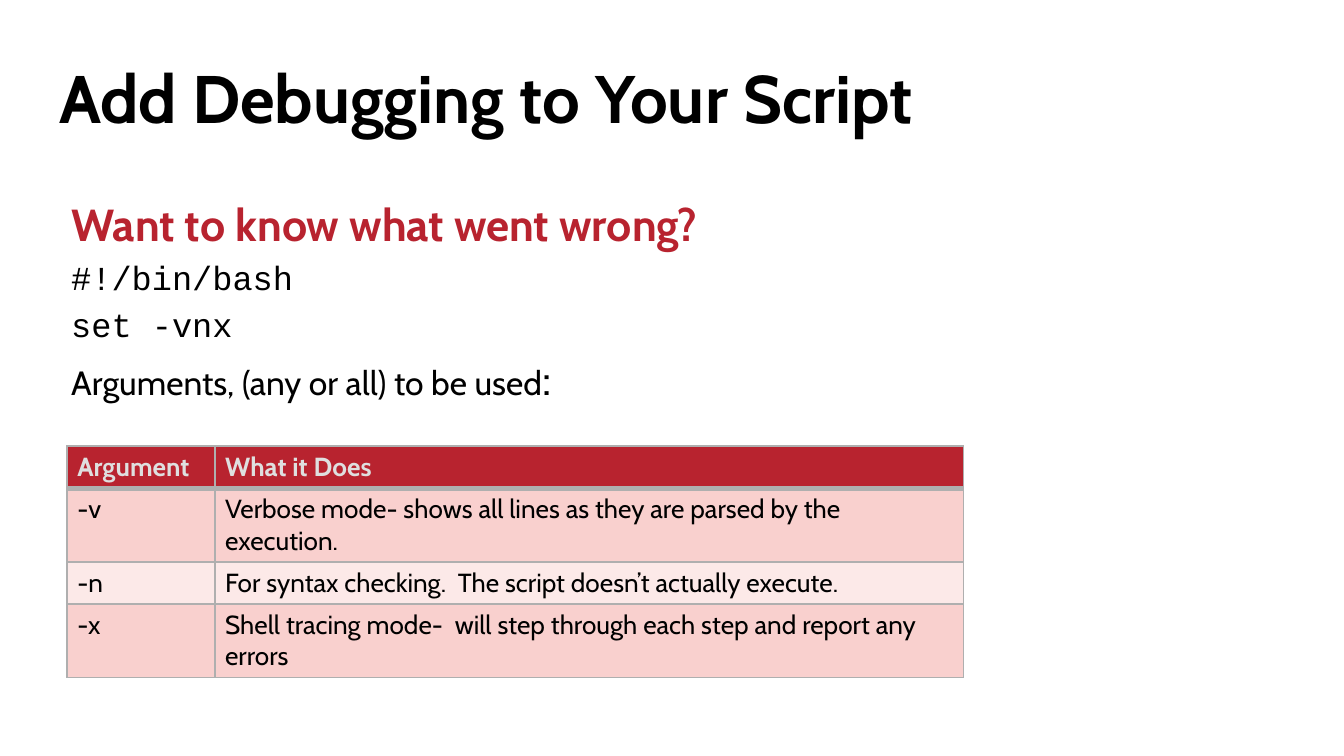
from dataclasses import dataclass

import pptx
import pptx.dml.color
import pptx.enum.text
import pptx.oxml.ns
import pptx.util
from lxml import etree
from pptx.util import Inches


@dataclass(frozen=True)
class Theme:
    sans: str = "Cabin"
    mono: str = "Courier New"
    black: str = "000000"
    red: str = "B8232F"
    header_text: str = "DFDFDF"
    border: str = "AFAFAF"
    bands: tuple = ("F9D0CE", "FCE9E8")
    title: int = 36
    heading: int = 24
    body: int = 18
    cell: int = 14


THEME = Theme()
COLUMNS = (1.1, 5.57)
ROW_HEIGHTS = (0.3, 0.53, 0.3, 0.53)
CELL_MARGINS = {
    "margin_left": pptx.util.Pt(5.4), "margin_right": pptx.util.Pt(5.4),
    "margin_top": pptx.util.Pt(2.7), "margin_bottom": pptx.util.Pt(2.7),
}
ROWS = (
    ("Argument", "What it Does"),
    ("-v", "Verbose mode- shows all lines as they are parsed by the execution."),
    ("-n", "For syntax checking.  The script doesn’t actually execute."),
    ("-x", "Shell tracing mode-  will step through each step and report any errors"),
)


def rgb(color):
    return pptx.dml.color.RGBColor.from_string(color)


def set_attributes(target, values):
    for name, value in values.items():
        setattr(target, name, value)


def add_run(p, text, size, font=THEME.sans, color=THEME.black, bold=False):
    r = p.add_run()
    r.text = text
    set_attributes(r.font, {"name": font, "size": pptx.util.Pt(size), "bold": bold})
    r.font.color.rgb = rgb(color)


def place(sp, left, top, width, height):
    """Move a placeholder and return its text frame."""
    set_attributes(sp, {"left": Inches(left), "top": Inches(top),
                        "width": Inches(width), "height": Inches(height)})
    tf = sp.text_frame
    set_attributes(tf, {"word_wrap": True,
                        "vertical_anchor": pptx.enum.text.MSO_ANCHOR.TOP,
                        "auto_size": pptx.enum.text.MSO_AUTO_SIZE.NONE})
    return tf


def fill_title(sp):
    p = place(sp, 0.34, 0.48, 9.28, 0.67).paragraphs[0]
    set_attributes(p, {"alignment": pptx.enum.text.PP_ALIGN.LEFT,
                       "line_spacing": pptx.util.Pt(35)})
    add_run(p, "Add Debugging to Your Script", THEME.title, bold=True)


def add_body_line(tf, first=False):
    """Return a new unbulleted paragraph."""
    p = tf.paragraphs[0] if first else tf.add_paragraph()
    p.space_before = pptx.util.Pt(0 if first else 0.2 * THEME.body)
    pPr = p._p.get_or_add_pPr()
    pPr.set("marL", "0")
    pPr.set("indent", "0")
    etree.SubElement(pPr, pptx.oxml.ns.qn("a:buNone"))
    return p


def fill_body(sp):
    tf = place(sp, 0.43, 1.41, 9.28, 0.43)
    add_run(add_body_line(tf, first=True), "Want to know what went wrong?",
            THEME.heading, color=THEME.red, bold=True)
    for code in ("#!/bin/bash", "set -vnx"):
        add_run(add_body_line(tf), code, THEME.body, font=THEME.mono)
    p = add_body_line(tf)
    add_run(p, "Arguments, (any or all) to be used", THEME.body)
    add_run(p, ":", THEME.heading)


def set_borders(cell, widths):
    """Draw cell borders; widths maps a side (L, R, T, B) to points."""
    qn = pptx.oxml.ns.qn
    tcPr = cell._tc.get_or_add_tcPr()
    for side, width in widths.items():
        ln = etree.SubElement(tcPr, qn(f"a:ln{side}"), w=str(pptx.util.Pt(width)))
        fill = etree.SubElement(ln, qn("a:solidFill"))
        etree.SubElement(fill, qn("a:srgbClr"), val=THEME.border)


def fill_cell(cell, text, row):
    header = row == 0
    set_borders(cell, {"L": 1, "R": 1, "T": 3 if row == 1 else 1,
                       "B": 3 if header else 1})
    cell.fill.solid()
    cell.fill.fore_color.rgb = rgb(THEME.red if header else THEME.bands[(row - 1) % 2])
    set_attributes(cell, CELL_MARGINS)
    add_run(cell.text_frame.paragraphs[0], text, THEME.cell, bold=header,
            color=THEME.header_text if header else THEME.black)


def add_argument_table(s):
    table = s.shapes.add_table(
        len(ROWS), len(COLUMNS), Inches(0.5), Inches(3.32),
        Inches(sum(COLUMNS)), Inches(sum(ROW_HEIGHTS))).table
    for column, width in zip(table.columns, COLUMNS):
        column.width = Inches(width)
    for i, (row, height, texts) in enumerate(zip(table.rows, ROW_HEIGHTS, ROWS)):
        row.height = Inches(height)
        for cell, text in zip(row.cells, texts):
            fill_cell(cell, text, i)


def main():
    prs = pptx.Presentation()
    set_attributes(prs, {"slide_width": Inches(10),
                         "slide_height": Inches(10 * 9 / 16)})
    s = prs.slides.add_slide(prs.slide_layouts[1])
    fill_title(s.shapes.title)
    fill_body(s.placeholders[1])
    add_argument_table(s)
    prs.save("out.pptx")


if __name__ == "__main__":
    main()
